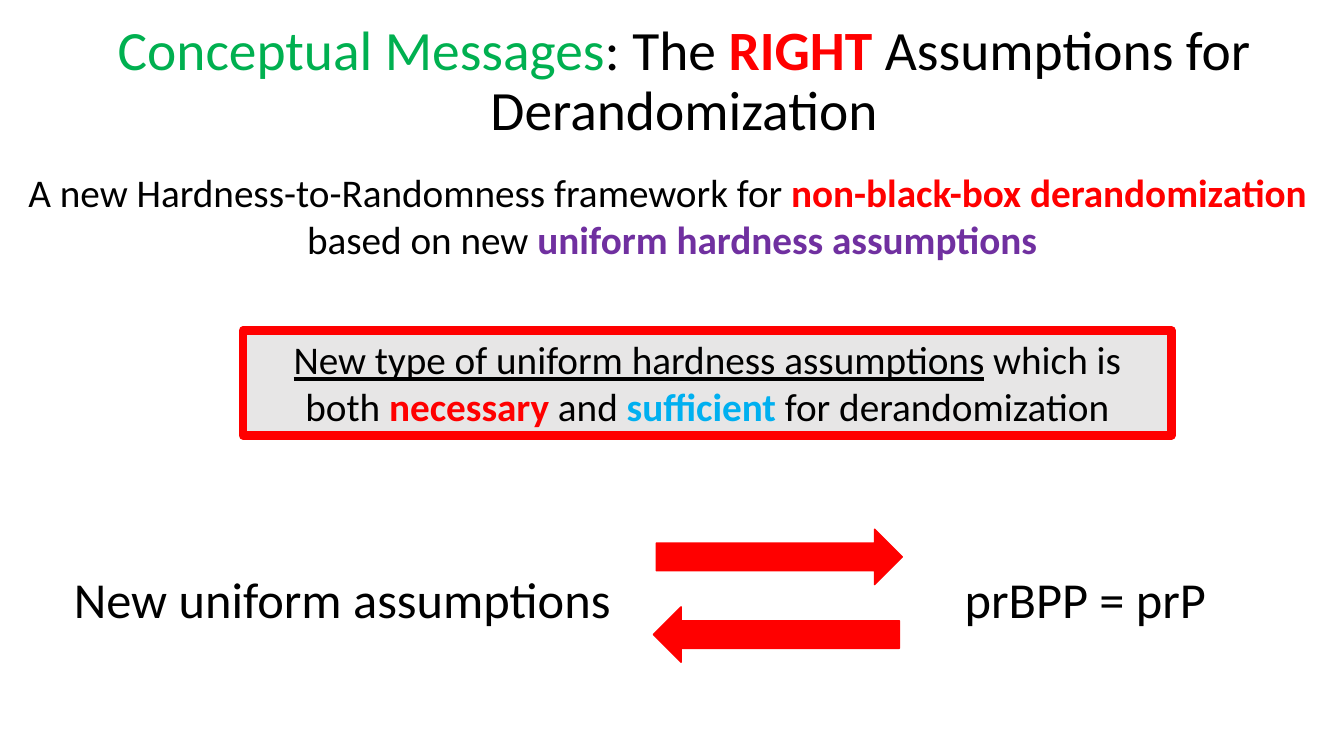
from pptx import Presentation
from pptx.dml.color import RGBColor
from pptx.enum import shapes, text
from pptx.util import Inches, Pt

BLACK = RGBColor(0x00, 0x00, 0x00)
WHITE = RGBColor(0xFF, 0xFF, 0xFF)
RED = RGBColor(0xFF, 0x00, 0x00)
GREEN = RGBColor(0x00, 0xB0, 0x50)
PURPLE = RGBColor(0x70, 0x30, 0xA0)
BLUE = RGBColor(0x00, 0xB0, 0xF0)
GREY = RGBColor(0xE7, 0xE6, 0xE6)
FONT = "Calibri"


def write_lines(shape, lines, size, anchor=text.MSO_ANCHOR.TOP, spacing=None):
    frame = shape.text_frame
    frame.word_wrap = True
    frame.vertical_anchor = anchor
    for index, pieces in enumerate(lines):
        paragraph = frame.add_paragraph() if index else frame.paragraphs[0]
        paragraph.alignment = text.PP_ALIGN.CENTER
        paragraph.line_spacing = spacing
        paragraph.font.name = FONT
        paragraph.font.size = Pt(size)
        for words, color, *styles in pieces:
            run = paragraph.add_run()
            run.text = words
            run.font.color.rgb = color
            if "bold" in styles:
                run.font.bold = True
            if "underline" in styles:
                run.font.underline = True


def add_text(slide, box, lines, size, **layout):
    shape = slide.shapes.add_textbox(*map(Inches, box))
    write_lines(shape, lines, size, **layout)


def add_filled(slide, kind, box, fill, line=None, width=1):
    shape = slide.shapes.add_shape(kind, *map(Inches, box))
    shape.shadow.inherit = False
    shape.fill.solid()
    shape.fill.fore_color.rgb = fill
    if line is None:
        shape.line.fill.background()
    else:
        shape.line.color.rgb = line
        shape.line.width = Pt(width)
    return shape


def add_title(slide, box):
    add_text(slide, box, [[
        ("Conceptual Messages", GREEN),
        (": The ", BLACK),
        ("RIGHT", RED, "bold"),
        (" Assumptions for Derandomization", BLACK),
    ]], 39.6, anchor=text.MSO_ANCHOR.MIDDLE, spacing=0.9)


def add_framework(slide, box):
    add_text(slide, box, [
        [("A new Hardness-to-Randomness framework for ", BLACK),
         ("non-black-box derandomization ", RED, "bold")],
        [("based on new ", BLACK),
         ("uniform hardness assumptions", PURPLE, "bold")],
    ], 28)


def add_claim(slide, box):
    claim = add_filled(slide, shapes.MSO_SHAPE.RECTANGLE, box, GREY, RED, 6)
    write_lines(claim, [[
        ("New type of uniform hardness assumptions", BLACK, "underline"),
        (" which is both ", BLACK),
        ("necessary", RED, "bold"),
        (" and ", BLACK),
        ("sufficient", BLUE, "bold"),
        (" for derandomization", BLACK),
    ]], 28)


def add_equivalence(slide, box):
    left, top, width, height = box
    label_height = 0.71
    label_top = top + 0.34
    right_width = 2.99
    sides = (
        ("New uniform assumptions", left, 5.59),
        ("prBPP = prP", left + width - right_width, right_width),
    )
    for words, label_left, label_width in sides:
        label = add_filled(slide, shapes.MSO_SHAPE.RECTANGLE,
                           (label_left, label_top, label_width, label_height), WHITE)
        write_lines(label, [[(words, BLACK)]], 36)

    arrow_width, arrow_height = 2.44, 0.55
    arrows = (
        (left + 5.91, top, 0),
        (left + 5.88, top + height - arrow_height, 180),
    )
    for arrow_left, arrow_top, rotation in arrows:
        arrow = add_filled(slide, shapes.MSO_SHAPE.RIGHT_ARROW,
                           (arrow_left, arrow_top, arrow_width, arrow_height), RED, RED)
        arrow.rotation = rotation


def main():
    presentation = Presentation()
    presentation.slide_width = Inches(13.33)
    presentation.slide_height = Inches(7.5)
    slide = presentation.slides.add_slide(presentation.slide_layouts[6])
    add_title(slide, (1, 0.22, 11.57, 1.19))
    add_framework(slide, (0.05, 1.62, 13.23, 1.04))
    add_claim(slide, (2.41, 3.28, 9.21, 1.04))
    add_equivalence(slide, (0.6, 5.25, 11.66, 1.32))
    presentation.save("out.pptx")


if __name__ == "__main__":
    main()
